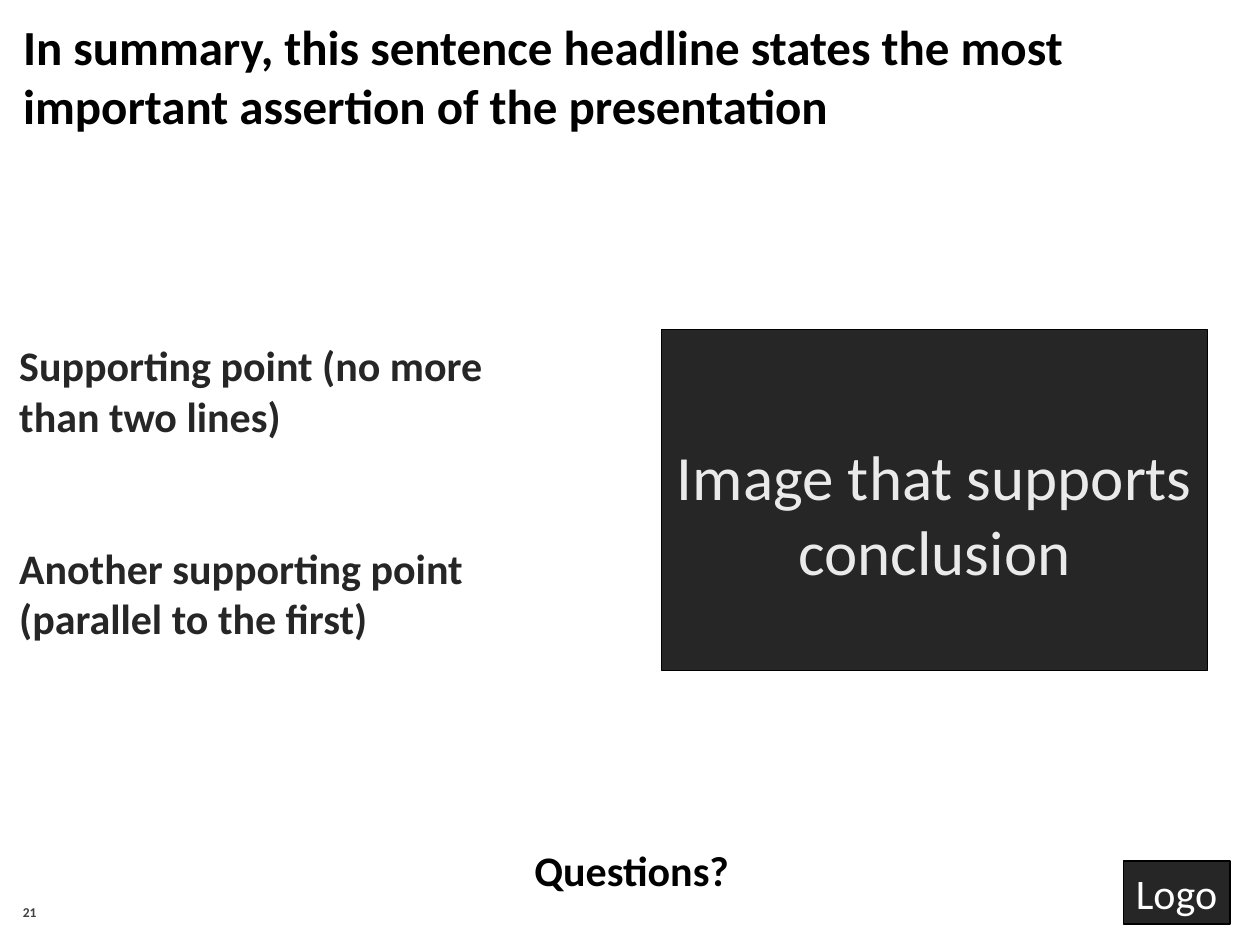
from dataclasses import dataclass

from pptx import Presentation
from pptx.dml.color import RGBColor
from pptx.enum.shapes import MSO_SHAPE
from pptx.enum.text import MSO_ANCHOR, MSO_AUTO_SIZE, PP_ALIGN
from pptx.util import Pt

RECTANGLE = MSO_SHAPE.RECTANGLE
TOP, MIDDLE, BOTTOM = MSO_ANCHOR.TOP, MSO_ANCHOR.MIDDLE, MSO_ANCHOR.BOTTOM
LEFT, CENTER = PP_ALIGN.LEFT, PP_ALIGN.CENTER
NO_AUTOSIZE = MSO_AUTO_SIZE.NONE
TITLE_ONLY = 5


@dataclass(frozen=True)
class Theme:
    font: str = "Calibri"
    black: str = "000000"
    dark: str = "262626"
    gray: str = "404040"
    pale: str = "EAEAEA"
    white: str = "FFFFFF"
    title_size: float = 28
    body_size: float = 24
    image_size: float = 36
    number_size: float = 7.7


THEME = Theme()


def write(shape, texts, size, color, bold=True, align=LEFT, anchor=TOP,
          insets=(7.2, 3.6, 7.2, 3.6), gap=0, wrap=True):
    """Fill a shape with one paragraph per text, separated by gap points."""
    frame = shape.text_frame
    frame.auto_size = NO_AUTOSIZE
    frame.word_wrap = wrap
    frame.vertical_anchor = anchor
    (frame.margin_left, frame.margin_top,
     frame.margin_right, frame.margin_bottom) = map(Pt, insets)
    for index, text in enumerate(texts):
        paragraph = frame.add_paragraph() if index else frame.paragraphs[0]
        paragraph.alignment = align
        paragraph.space_before = Pt(gap if index else 0)
        run = paragraph.add_run()
        run.text = text
        run.font.name = THEME.font
        run.font.size = Pt(size)
        run.font.bold = bold
        run.font.color.rgb = RGBColor.from_string(color)


def add_title(slide, box, text):
    title = slide.shapes.title
    title.left, title.top, title.width, title.height = map(Pt, box)
    write(title, [text], THEME.title_size, THEME.black)


def add_text(slide, box, texts, size, color, **options):
    write(slide.shapes.add_textbox(*map(Pt, box)), texts, size, color, **options)


def add_panel(slide, box, text, size, color, **options):
    """Add a dark rectangle with a thin black outline and regular text."""
    panel = slide.shapes.add_shape(RECTANGLE, *map(Pt, box))
    panel.shadow.inherit = False
    panel.fill.solid()
    panel.fill.fore_color.rgb = RGBColor.from_string(THEME.dark)
    panel.line.color.rgb = RGBColor.from_string(THEME.black)
    panel.line.width = Pt(0.75)
    write(panel, [text], size, color, bold=False, **options)


def main():
    presentation = Presentation()
    presentation.slide_width, presentation.slide_height = Pt(720), Pt(540)
    slide = presentation.slides.add_slide(presentation.slide_layouts[TITLE_ONLY])

    add_title(slide, (6, 6, 708, 75),
              "In summary, this sentence headline states the most important "
              "assertion of the presentation")
    add_text(slide, (6, 500.4, 168, 28.8), ["21"], THEME.number_size,
             THEME.gray, anchor=BOTTOM)
    add_text(slide, (6, 192, 300, 177),
             ["Supporting point (no more than two lines)",
              "Another supporting point (parallel to the first)"],
             THEME.body_size, THEME.dark, insets=(5, 2.2, 5, 2.2), gap=58)
    add_panel(slide, (378, 188.5, 312, 194.5), "Image that supports conclusion",
              THEME.image_size, THEME.pale, align=CENTER, anchor=MIDDLE,
              insets=(7.2, 18.2, 7.2, 3.6))
    add_text(slide, (298, 479, 126, 36), ["Questions?"], THEME.body_size,
             THEME.black, align=CENTER, wrap=False)
    add_panel(slide, (642, 492, 61, 36), "Logo", THEME.body_size, THEME.white,
              wrap=False)

    presentation.save("out.pptx")


if __name__ == "__main__":
    main()
